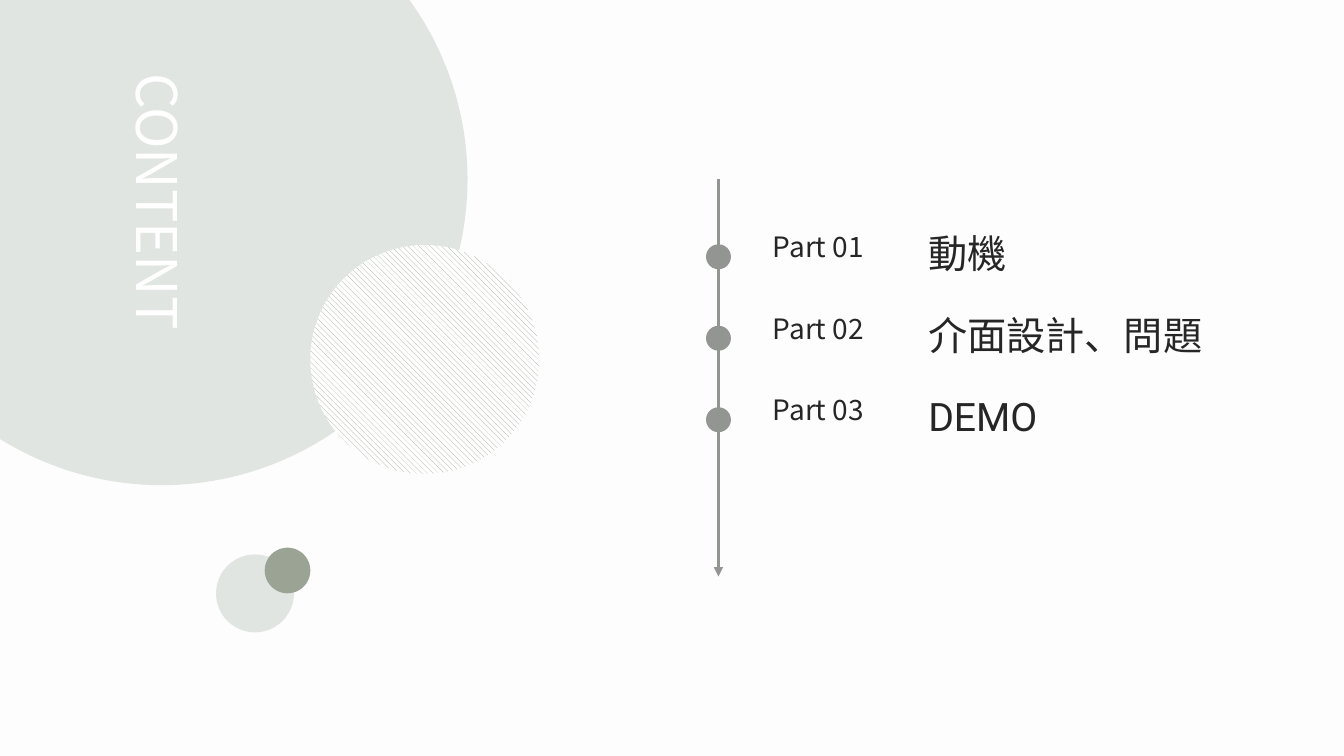
"""Build the contents slide: a vertical title, decorative circles and a timeline of parts."""
from lxml import etree
from pptx import Presentation
from pptx import util as u
from pptx.dml.color import RGBColor
from pptx.enum import dml, shapes, text
from pptx.oxml.ns import qn

TITLE = "CONTENT"
PARTS = [
    ("Part 01", "動機", "Noto Sans CJK SC"),
    ("Part 02", "介面設計、問題", "Noto Sans CJK SC"),
    ("Part 03", "DEMO", "Roboto"),
]
FONT = "Noto Sans CJK SC"
PAPER, WHITE, INK = "FDFDFD", "FFFFFF", "262626"
MIST, SAGE, GREY = "E1E5E2", "9AA394", "929591"
CIRCLES = [
    (154.3, 396, 55.7, MIST),
    (189.1, 391.2, 32.6, SAGE),
    (-103, -90.4, 437, MIST),
]
HATCHED = (221.6, 175, 163.6)
TITLE_BOX = (68.5, 45.5, 72.3, 200)
AXIS_X, AXIS_TOP, AXIS_END = 513.2, 128.2, 411.8
DOT, DOT_TOP = 16.8, 175
ROW_TOP, ROW_STEP = 160.5, 58.2
LABEL_X, LABEL_W, LABEL_H = 545, 110, 31.5
TOPIC_X, TOPIC_W, TOPIC_H = 656, 232, 41.2


def rgb(value):
    return RGBColor.from_string(value)


def add_circle(s, left, top, size, color, outline=None):
    sp = s.shapes.add_shape(shapes.MSO_SHAPE.OVAL, *map(u.Pt, (left, top, size, size)))
    sp.shadow.inherit = False
    sp.fill.solid()
    sp.fill.fore_color.rgb = rgb(color)
    if outline:
        sp.line.color.rgb = rgb(outline)
        sp.line.width = u.Pt(1)
    else:
        sp.line.fill.background()
    return sp


def add_text(s, box, words, size, font=FONT, color=INK, align=None):
    tf = s.shapes.add_textbox(*map(u.Pt, box)).text_frame
    tf.word_wrap = True
    tf.auto_size = text.MSO_AUTO_SIZE.SHAPE_TO_FIT_TEXT
    p = tf.paragraphs[0]
    p.alignment = align
    r = p.add_run()
    r.text = words
    r.font.size = u.Pt(size)
    r.font.name = font
    r.font.color.rgb = rgb(color)
    etree.SubElement(r.font._element, qn("a:ea"), typeface=font)
    return tf


def add_axis(s):
    line = s.shapes.add_connector(
        shapes.MSO_CONNECTOR.STRAIGHT,
        *map(u.Pt, (AXIS_X, AXIS_TOP, AXIS_X, AXIS_END)))
    line.line.color.rgb = rgb(GREY)
    line.line.width = u.Pt(2.25)
    etree.SubElement(line.line._get_or_add_ln(), qn("a:tailEnd"), type="triangle")
    etree.SubElement(line._element.spPr, qn("a:effectLst"))


def main():
    prs = Presentation()
    prs.slide_width, prs.slide_height = u.Pt(960), u.Pt(540)
    s = prs.slides.add_slide(prs.slide_layouts[6])
    s.background.fill.solid()
    s.background.fill.fore_color.rgb = rgb(PAPER)

    for circle in CIRCLES:
        add_circle(s, *circle)
    hatched = add_circle(s, *HATCHED, WHITE)
    hatched.fill.patterned()
    hatched.fill.pattern = dml.MSO_PATTERN.WIDE_DOWNWARD_DIAGONAL
    hatched.fill.fore_color.rgb = rgb(SAGE)
    hatched.fill.back_color.rgb = rgb(WHITE)

    title = add_text(s, TITLE_BOX, TITLE, 40, color=WHITE)
    title._txBody.bodyPr.set("vert", "vert")

    add_axis(s)
    for i, (label, topic, font) in enumerate(PARTS):
        shift = i * ROW_STEP
        add_circle(s, AXIS_X - DOT / 2, DOT_TOP + shift, DOT, GREY, GREY)
        top = ROW_TOP + shift
        add_text(s, (LABEL_X, top, LABEL_W, LABEL_H), label, 20)
        add_text(s, (TOPIC_X, top, TOPIC_W, TOPIC_H), topic, 28, font,
                 align=text.PP_ALIGN.JUSTIFY)

    prs.save("out.pptx")


if __name__ == "__main__":
    main()
